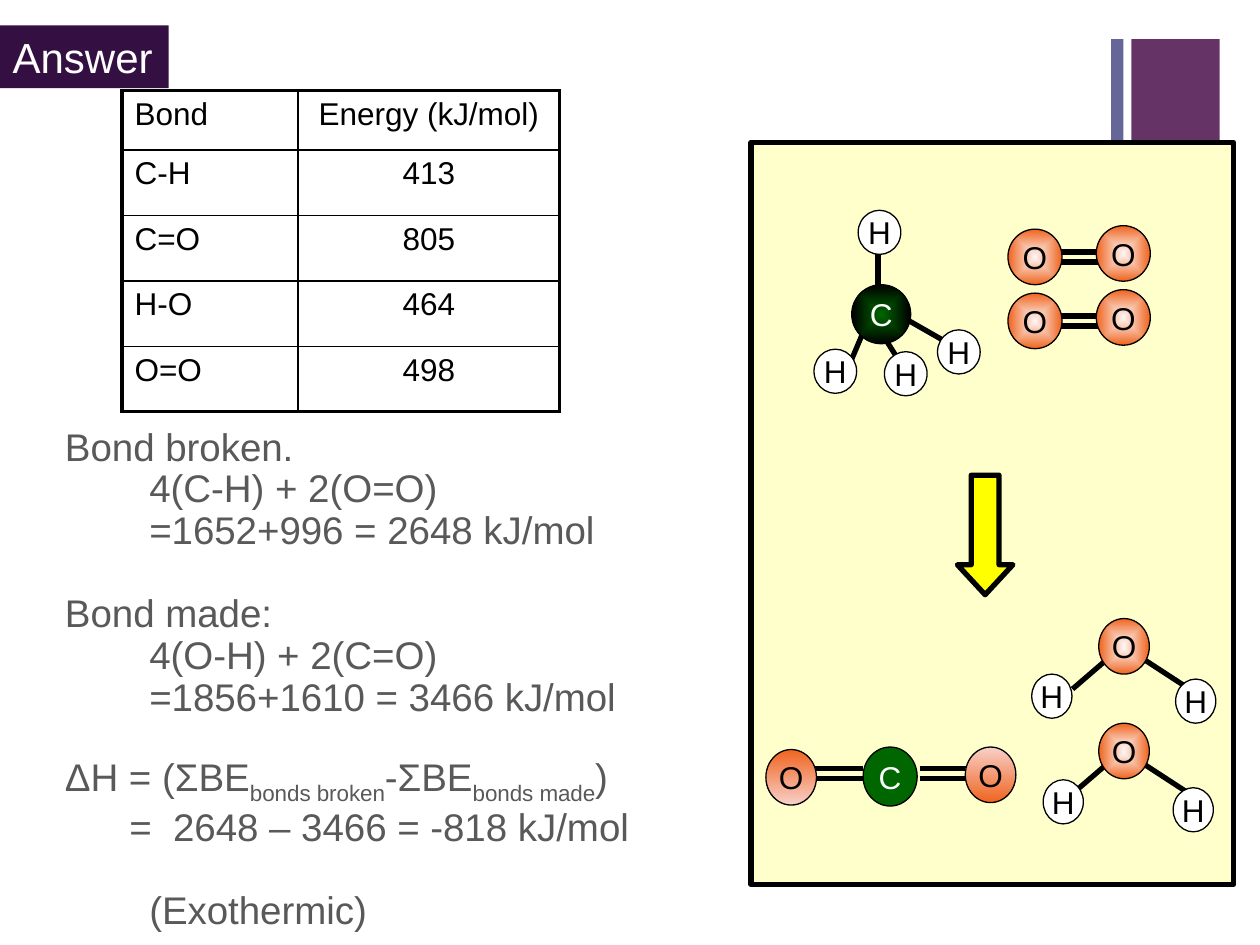
from lxml import etree
from pptx import Presentation
from pptx.dml.color import RGBColor
from pptx.enum.shapes import MSO_CONNECTOR, MSO_SHAPE
from pptx.enum.text import MSO_ANCHOR, MSO_AUTO_SIZE, PP_ALIGN
from pptx.oxml.ns import qn
from pptx.util import Cm, Pt

RECT, OVAL, ARROW = MSO_SHAPE.RECTANGLE, MSO_SHAPE.OVAL, MSO_SHAPE.DOWN_ARROW
STRAIGHT = MSO_CONNECTOR.STRAIGHT
TOP, MIDDLE = MSO_ANCHOR.TOP, MSO_ANCHOR.MIDDLE
LEFT, CENTER = PP_ALIGN.LEFT, PP_ALIGN.CENTER
NO_AUTOFIT = MSO_AUTO_SIZE.NONE

FONT = "Arial"
BLACK = RGBColor(0x00, 0x00, 0x00)
WHITE = RGBColor(0xFF, 0xFF, 0xFF)
GREY = RGBColor(0x59, 0x59, 0x59)
PLUM = RGBColor(0x66, 0x33, 0x66)
SLATE = RGBColor(0x66, 0x66, 0x99)
DARK_PURPLE = RGBColor(0x33, 0x0F, 0x42)
CREAM = RGBColor(0xFF, 0xFF, 0xCC)
YELLOW = RGBColor(0xFF, 0xFF, 0x00)
GREEN = RGBColor(0x00, 0x66, 0x00)
ORANGE = RGBColor(0xEF, 0x64, 0x1F)
PINK = RGBColor(0xF8, 0xD0, 0xC9)
PALE = RGBColor(0xFD, 0xF5, 0xF3)

BOND_ENERGIES = [("Bond", "Energy (kJ/mol)"), ("C-H", "413"), ("C=O", "805"),
                 ("H-O", "464"), ("O=O", "498")]
LINE_PITCH = 23.8
WORKING = [
    (0, 0, 0, [("Bond broken.", False)]),
    (1.7, 0, 0, [("4(C-H) + 2(O=O)", False)]),
    (1.7, 0, 0, [("=1652+996 = 2648 kJ/mol", False)]),
    (0, 0, LINE_PITCH, [("Bond made:", False)]),
    (1.7, 0, 0, [("4(O-H) + 2(C=O)", False)]),
    (1.7, 0, 0, [("=1856+1610 = 3466 kJ/mol", False)]),
    (0, 0, LINE_PITCH + 2, [("ΔH = (ΣBE", False), ("bonds broken", True),
                            ("-ΣBE", False), ("bonds made", True), (")", False)]),
    (2.18, -0.88, 1, [("=\t2648 – 3466 = -818 kJ/mol", False)]),
    (1.7, 0, LINE_PITCH, [("(Exothermic)", False)]),
]


def add_run(p, text, size, color):
    r = p.add_run()
    r.text = text
    r.font.name, r.font.size = FONT, Pt(size)
    r.font.color.rgb = color
    return r


def add_block(s, kind, x, y, w, h, fill, line=None):
    sp = s.shapes.add_shape(kind, Cm(x), Cm(y), Cm(w), Cm(h))
    sp.shadow.inherit = False
    if isinstance(fill, RGBColor):
        sp.fill.solid()
        sp.fill.fore_color.rgb = fill
    else:
        fill_gradient(sp, *fill)
    if line:
        sp.line.color.rgb, sp.line.width = BLACK, Pt(line)
    else:
        sp.line.fill.background()
    return sp


def fill_gradient(sp, first, last, radial):
    sp.fill.gradient()
    for stop, color in zip(sp.fill.gradient_stops, (first, last)):
        stop.color.rgb = color
    sp.fill.gradient_angle = 270
    if radial:
        grad = sp._element.spPr.find(qn("a:gradFill"))
        grad.remove(grad.find(qn("a:lin")))
        center = etree.SubElement(grad, qn("a:path"), {"path": "shape"})
        etree.SubElement(center, qn("a:fillToRect"), dict.fromkeys("ltrb", "50000"))


def add_atom(s, symbol, x, y, w, h, fill, color=BLACK):
    sp = add_block(s, OVAL, x, y, w, h, fill, 0.75)
    tf = sp.text_frame
    tf.margin_left = tf.margin_right = tf.margin_top = tf.margin_bottom = 0
    tf.word_wrap, tf.vertical_anchor = False, MIDDLE
    p = tf.paragraphs[0]
    p.alignment = CENTER
    add_run(p, symbol, 18, color)


def add_bond(s, x1, y1, x2, y2):
    c = s.shapes.add_connector(STRAIGHT, Cm(x1), Cm(y1), Cm(x2), Cm(y2))
    c.line.color.rgb, c.line.width = BLACK, Pt(3)
    etree.SubElement(c._element.spPr, qn("a:effectLst"))


def add_double_bond(s, x1, x2, y):
    for line_y in (y, y + 0.2):
        add_bond(s, x1, line_y, x2, line_y)


def add_carbon_dioxide(s):
    add_double_bond(s, 18.54, 19.48, 15.49)
    add_double_bond(s, 16.41, 17.4, 15.49)
    add_atom(s, "O", 15.44, 15.11, 1.02, 1.12, (ORANGE, PINK, False))
    add_atom(s, "C", 17.4, 15.06, 1.09, 1.19, GREEN, WHITE)
    add_atom(s, "O", 19.46, 15.06, 1.02, 1.12, (PINK, ORANGE, False))


def add_water(s, y, hydrogens):
    add_bond(s, 21.62, y + 1.42, 22.33, y + 0.81)
    add_bond(s, 23.04, y + 0.81, 23.9, y + 1.37)
    add_atom(s, "O", 22.15, y, 1.02, 1.12, (PALE, ORANGE, True))
    for hx, hy in hydrogens:
        add_atom(s, "H", hx, hy, 0.81, 0.89, WHITE)


def add_oxygen(s, y):
    add_double_bond(s, 21.31, 22.34, y + 0.53)
    for x, top in ((22.1, y), (20.32, y + 0.07)):
        add_atom(s, "O", x, top, 1.09, 1.12, (PALE, ORANGE, True))


def add_methane(s):
    for ends in ((17.7, 5.84, 17.7, 4.93), (17.45, 6.58, 17.15, 7.29),
                 (17.7, 6.6, 18.26, 7.49), (17.98, 6.27, 19.33, 7.04)):
        add_bond(s, *ends)
    add_atom(s, "C", 17.17, 5.74, 1.19, 1.19, (GREEN, BLACK, True), WHITE)
    for x, y in ((17.3, 4.24), (18.9, 6.65), (17.83, 7.09), (16.41, 7.04)):
        add_atom(s, "H", x, y, 0.86, 0.89, WHITE)


def add_title(s):
    sp = s.shapes.title
    sp.left, sp.top, sp.width, sp.height = Cm(0), Cm(0.51), Cm(3.4), Cm(1.27)
    sp.fill.solid()
    sp.fill.fore_color.rgb = DARK_PURPLE
    tf = sp.text_frame
    tf.auto_size, tf.word_wrap, tf.vertical_anchor = NO_AUTOFIT, False, TOP
    p = tf.paragraphs[0]
    p.alignment = LEFT
    add_run(p, "Answer", 24, WHITE)


def set_border(cell, side, width):
    ln = etree.SubElement(cell._tc.get_or_add_tcPr(), qn("a:ln" + side),
                          {"w": str(Pt(width))})
    fill = etree.SubElement(ln, qn("a:solidFill"))
    etree.SubElement(fill, qn("a:srgbClr"), {"val": str(BLACK)})


def add_energy_table(s):
    last = len(BOND_ENERGIES) - 1
    table = s.shapes.add_table(last + 1, 2, Cm(2.46), Cm(1.83), Cm(8.82), Cm(6.47)).table
    table.columns[0].width, table.columns[1].width = Cm(3.55), Cm(5.27)
    for i, row in enumerate(BOND_ENERGIES):
        table.rows[i].height = Cm(1.32 if i else 1.19)
        for j, text in enumerate(row):
            cell = table.cell(i, j)
            outer = {"L": j == 0, "R": j == 1, "T": i == 0, "B": i == last}
            for side, is_outer in outer.items():
                set_border(cell, side, 2.25 if is_outer else 1)
            cell.fill.background()
            p = cell.text_frame.paragraphs[0]
            p.alignment = CENTER if j else LEFT
            add_run(p, text, 18, BLACK)


def add_working(s):
    tf = s.shapes.add_textbox(Cm(1.31), Cm(8.61), Cm(13), Cm(10.2)).text_frame
    tf.word_wrap = True
    tf.margin_left = tf.margin_right = tf.margin_top = tf.margin_bottom = 0
    for i, (margin, indent, before, runs) in enumerate(WORKING):
        p = tf.add_paragraph() if i else tf.paragraphs[0]
        pPr = p._p.get_or_add_pPr()
        pPr.set("marL", str(Cm(margin)))
        pPr.set("indent", str(Cm(indent)))
        p.line_spacing, p.space_before = Pt(LINE_PITCH), Pt(before)
        for text, subscript in runs:
            r = add_run(p, text, 22, GREY)
            if subscript:
                r.font._element.set("baseline", "-25000")


def main():
    prs = Presentation()
    prs.slide_width, prs.slide_height = Cm(25.4), Cm(19.05)
    s = prs.slides.add_slide(prs.slide_layouts[5])
    add_block(s, RECT, 22.81, 0.79, 1.78, 4.45, PLUM)
    add_block(s, RECT, 22.4, 0.79, 0.25, 4.45, SLATE)
    add_working(s)
    add_title(s)
    add_energy_table(s)
    add_block(s, RECT, 15.14, 2.87, 9.73, 14.96, CREAM, 3)
    arrow = add_block(s, ARROW, 19.3, 9.58, 1.12, 2.41, YELLOW, 3)
    arrow.adjustments[1] = 0.54
    add_carbon_dioxide(s)
    add_water(s, 14.58, ((21.03, 15.72), (23.65, 15.88)))
    add_water(s, 12.47, ((20.8, 13.59), (23.7, 13.69)))
    add_oxygen(s, 4.55)
    add_oxygen(s, 5.84)
    add_methane(s)
    prs.save("out.pptx")


if __name__ == "__main__":
    main()
